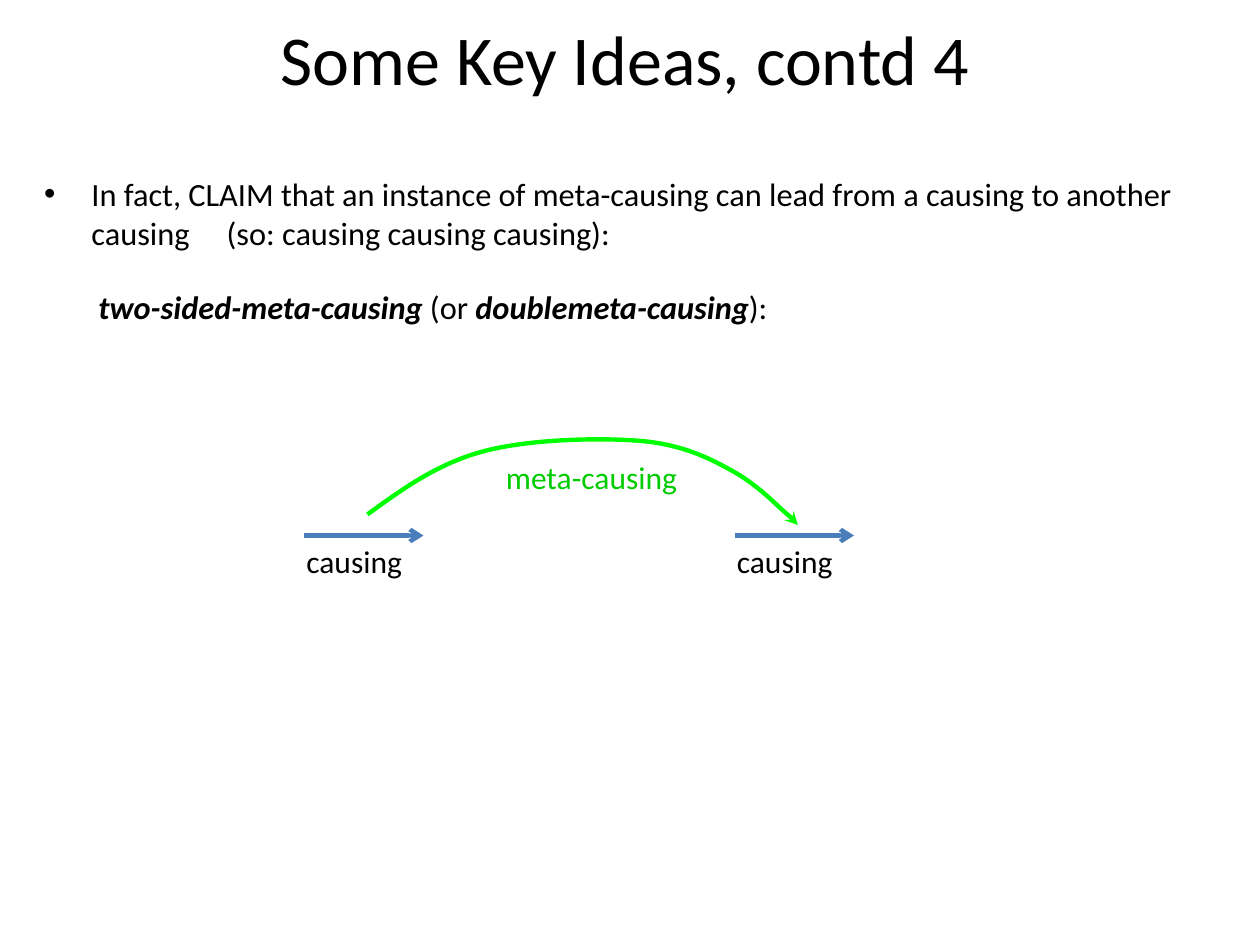
import pptx
import pptx.dml.color
import pptx.enum.dml
import pptx.enum.shapes
import pptx.enum.text
import pptx.oxml
import pptx.oxml.ns
import pptx.util

Pt = pptx.util.Pt
RGBColor = pptx.dml.color.RGBColor
qn = pptx.oxml.ns.qn
BLACK = RGBColor(0x00, 0x00, 0x00)
BLUE = RGBColor(0x4A, 0x7E, 0xBB)
LIME = RGBColor(0x00, 0xFF, 0x00)
GREEN = RGBColor(0x00, 0xCC, 0x00)


def add_text(p, text, size=18, color=BLACK, font="Calibri", bold=False, italic=False, spacing=0):
    r = p.add_run()
    r.text = text
    r.font.name, r.font.size = font, Pt(size)
    r.font.bold, r.font.italic = bold, italic
    r.font.color.rgb = color
    if spacing:
        r.font._element.set("spc", str(spacing * 100))


class Deck:
    """Holds the line style and the current slide, and adds its elements."""

    line_width = 2.5
    body_size = 18.5

    def __init__(self, prs):
        self.s = prs.slides.add_slide(prs.slide_layouts[1])

    def place(self, sp, x, y, w, h):
        sp.left, sp.top, sp.width, sp.height = Pt(x), Pt(y), Pt(w), Pt(h)
        return sp.text_frame

    def title(self, text, *box):
        tf = self.place(self.s.shapes.title, *box)
        tf.auto_size = pptx.enum.text.MSO_AUTO_SIZE.NONE
        tf.vertical_anchor = pptx.enum.text.MSO_ANCHOR.MIDDLE
        p = tf.paragraphs[0]
        p.alignment = pptx.enum.text.PP_ALIGN.CENTER
        add_text(p, text, size=40)

    def body(self, paragraphs, *box):
        tf = self.place(self.s.placeholders[1], *box)
        tf.auto_size = pptx.enum.text.MSO_AUTO_SIZE.NONE
        for i, (bullet, margin, indent, runs) in enumerate(paragraphs):
            p = tf.add_paragraph() if i else tf.paragraphs[0]
            pPr = p._p.get_or_add_pPr()
            pPr.set("marL", str(Pt(margin)))
            pPr.set("indent", str(Pt(indent)))
            if bullet:
                pPr.append(pptx.oxml.parse_xml(
                    f'<a:buChar {pptx.oxml.ns.nsdecls("a")} char="{bullet}"/>'))
            else:
                pPr.append(pptx.oxml.parse_xml(f'<a:buNone {pptx.oxml.ns.nsdecls("a")}/>'))
            p.space_before = Pt(20 if i else 0)
            for text, fmt in runs:
                add_text(p, text, size=self.body_size, **fmt)

    def label(self, text, x, y, w, h, color=BLACK):
        sp = self.s.shapes.add_textbox(Pt(x), Pt(y), Pt(w), Pt(h))
        sp.text_frame.word_wrap = False
        add_text(sp.text_frame.paragraphs[0], text, color=color)

    def style_line(self, sp, color, head):
        sp.line.color.rgb = color
        sp.line.width = Pt(self.line_width)
        ns = pptx.oxml.ns.nsdecls("a")
        sp.line._get_or_add_ln().append(pptx.oxml.parse_xml(f'<a:tailEnd {ns} type="{head}"/>'))

    def arrow(self, x, y, length):
        sp = self.s.shapes.add_connector(
            pptx.enum.shapes.MSO_CONNECTOR.STRAIGHT, Pt(x), Pt(y), Pt(x + length), Pt(y))
        self.style_line(sp, BLUE, "arrow")
        sp._element.spPr.append(
            pptx.oxml.parse_xml(f'<a:effectLst {pptx.oxml.ns.nsdecls("a")}/>'))

    def curve(self, start, controls):
        builder = self.s.shapes.build_freeform(Pt(start[0]), Pt(start[1]))
        builder.add_line_segments([(Pt(x), Pt(y)) for x, y in controls], close=False)
        sp = builder.convert_to_shape()
        outline = next(sp._element.iter(qn("a:path")))
        lines = outline.findall(qn("a:lnTo"))
        for i in range(0, len(lines), 3):
            bezier = pptx.oxml.parse_xml(f'<a:cubicBezTo {pptx.oxml.ns.nsdecls("a")}/>')
            for line in lines[i:i + 3]:
                bezier.append(line[0])
                outline.remove(line)
            outline.append(bezier)
        sp.fill.background()
        self.style_line(sp, LIME, "stealth")
        sp.shadow.inherit = False


def main():
    prs = pptx.Presentation()
    prs.slide_width, prs.slide_height = Pt(720), Pt(540)
    deck = Deck(prs)
    strong = {"bold": True, "italic": True}
    deck.title("Some Key Ideas, contd 4", 18, 12, 678, 42)
    deck.body([
        ("•", 27, -27, [
            ("In fact, CLAIM that an instance of meta-causing can lead from a causing "
             "to another causing", {}),
            (" ", {"spacing": 17}),
            ("(so: causing causing causing):", {})]),
        (None, 31, 0, [
            ("two-sided-meta-causing ", strong), ("(or ", {}),
            ("doublemeta-causing", strong), ("):", {})]),
    ], 18, 96, 672, 96)
    for x in (174, 420):
        deck.arrow(x, 306, 68)
        deck.label("causing", x - 6, 306, 69, 29)
    deck.curve((210, 294), [
        (230, 279.5), (250, 265), (276, 258),
        (302, 251), (342, 250), (366, 252),
        (390, 254), (406, 262), (420, 270),
        (434, 278), (444, 289), (450, 294),
        (456, 299), (456, 299.5), (456, 300)])
    deck.label("meta-causing", 282, 258, 112, 29, color=GREEN)
    prs.save("out.pptx")


if __name__ == "__main__":
    main()
